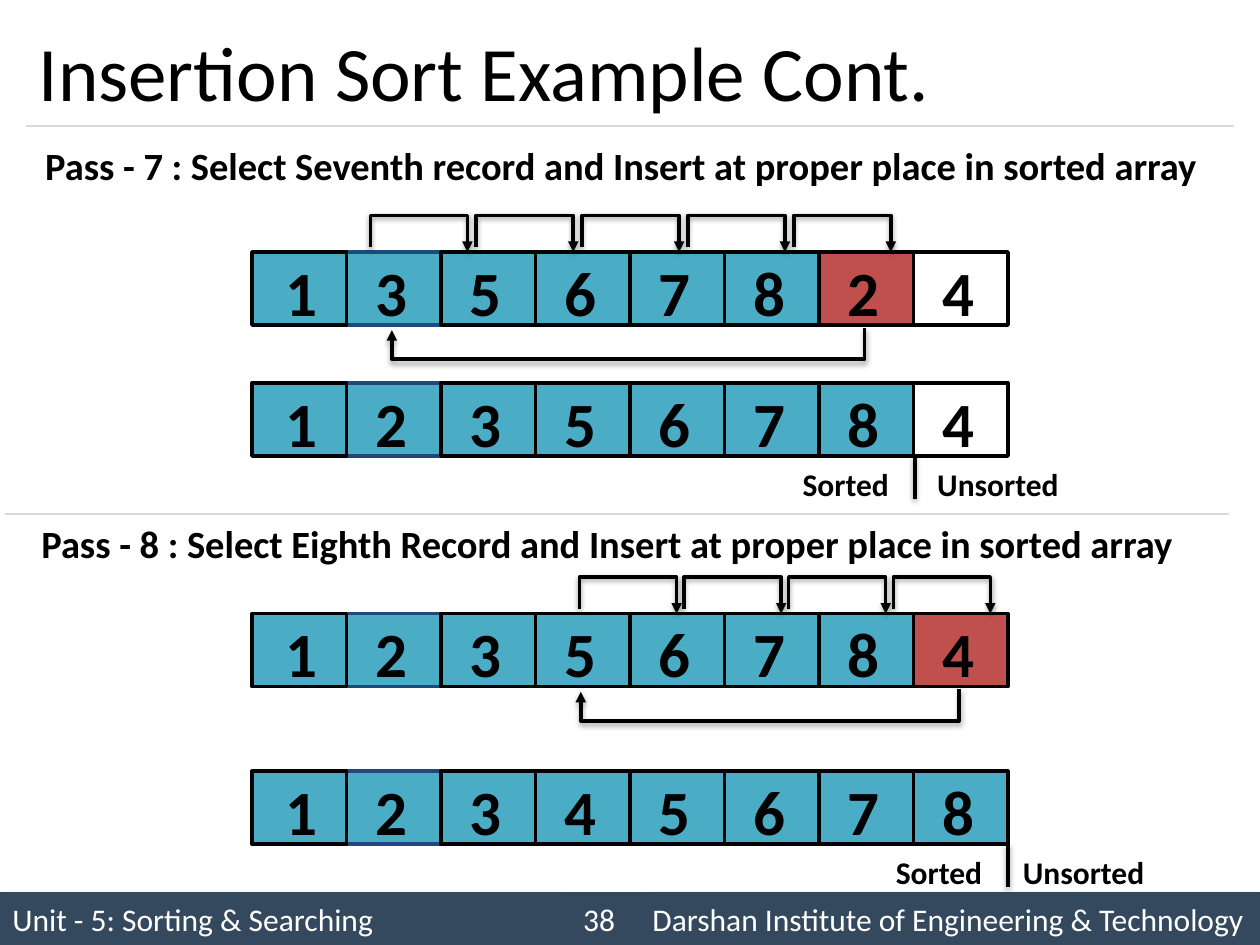
from lxml import etree
from pptx import Presentation
from pptx.dml.color import RGBColor
from pptx.enum.shapes import MSO_CONNECTOR, MSO_SHAPE
from pptx.enum.text import MSO_ANCHOR, MSO_AUTO_SIZE, PP_ALIGN
from pptx.oxml.ns import qn
from pptx.util import Inches, Pt

RECT, STRAIGHT, ELBOW = MSO_SHAPE.RECTANGLE, MSO_CONNECTOR.STRAIGHT, MSO_CONNECTOR.ELBOW
LEFT, CENTER, RIGHT = PP_ALIGN.LEFT, PP_ALIGN.CENTER, PP_ALIGN.RIGHT
MIDDLE = MSO_ANCHOR.MIDDLE
FIT_SHAPE, NO_FIT = MSO_AUTO_SIZE.SHAPE_TO_FIT_TEXT, MSO_AUTO_SIZE.NONE

BLACK = RGBColor(0x00, 0x00, 0x00)
WHITE = RGBColor(0xFF, 0xFF, 0xFF)
GRAY = RGBColor(0xD9, 0xD9, 0xD9)
SLATE = RGBColor(0x34, 0x49, 0x5E)
NAVY = RGBColor(0x1F, 0x49, 0x7D)
TEAL = RGBColor(0x4B, 0xAC, 0xC6)
RED = RGBColor(0xC0, 0x50, 0x4D)

ROW_LEFT, CELL_W, CELL_H = 2, 0.75, 0.58
LINE_SHADOW = dict(alpha=38, blur=3.1, dist=1.6, angle=90)
BAR_SHADOW = dict(alpha=40, blur=4, dist=3, angle=45)


def set_shadow(spPr, alpha, blur, dist, angle):
    effects = spPr.find(qn("a:effectLst"))
    if effects is None:
        effects = etree.SubElement(spPr, qn("a:effectLst"))
    shadow = etree.SubElement(effects, qn("a:outerShdw"), blurRad=str(Pt(blur)),
                              dist=str(Pt(dist)), dir=str(angle * 60000), rotWithShape="0")
    color = etree.SubElement(shadow, qn("a:srgbClr"), val="000000")
    etree.SubElement(color, qn("a:alpha"), val=str(alpha * 1000))


def write(tf, text, size, color=BLACK, bold=False, align=LEFT):
    p = tf.paragraphs[0]
    p.alignment = align
    r = p.add_run()
    r.text = text
    for name, value in dict(name="Calibri", size=Pt(size), bold=bold).items():
        setattr(r.font, name, value)
    r.font.color.rgb = color


def add_text(s, text, box, size, **style):
    tf = s.shapes.add_textbox(*map(Inches, box)).text_frame
    tf.word_wrap = False
    tf.auto_size = FIT_SHAPE
    write(tf, text, size, bold=True, **style)


def add_rect(s, box, fill, line=None):
    sp = s.shapes.add_shape(RECT, *map(Inches, box))
    sp.shadow.inherit = False
    sp.fill.solid()
    sp.fill.fore_color.rgb = fill
    if line is None:
        sp.line.fill.background()
    else:
        sp.line.color.rgb = line
        sp.line.width = Pt(2)
    return sp


def add_line(s, start, end, color=BLACK, width=2, shadow=None, kind=STRAIGHT):
    c = s.shapes.add_connector(kind, *map(Inches, (*start, *end)))
    c.line.color.rgb = color
    c.line.width = Pt(width)
    spPr = c._element.spPr
    etree.SubElement(spPr, qn("a:effectLst"))
    if shadow:
        set_shadow(spPr, **shadow)
    return c


def add_elbow_arrow(s, start, end, lane):
    """Arrow that leaves start vertically, runs level at height lane and ends at end."""
    (x0, y0), (x1, y1) = start, end
    w, h = y1 - y0, abs(x1 - x0)
    left, top = (x0 + x1 - w) / 2, (y0 + y1 - h) / 2
    c = add_line(s, (left, top), (left + w, top + h), shadow=LINE_SHADOW, kind=ELBOW)
    spPr = c._element.spPr
    xfrm = spPr.find(qn("a:xfrm"))
    rightward = x1 > x0
    xfrm.set("rot", str((270 if rightward else 90) * 60000))
    if rightward:
        xfrm.set("flipH", "1")
    guides = spPr.find(qn("a:prstGeom")).get_or_add_avLst()
    bend = round((lane - y0) / w * 100000)
    etree.SubElement(guides, qn("a:gd"), name="adj1", fmla=f"val {bend}")
    etree.SubElement(spPr.find(qn("a:ln")), qn("a:tailEnd"), type="triangle")


def add_array(s, top, values, fills):
    # The second cell lies beneath its neighbours
    for i in sorted(range(len(values)), key=lambda i: i != 1):
        box = (ROW_LEFT + i * CELL_W, top, CELL_W, CELL_H)
        add_rect(s, box, fills[i], NAVY if i == 1 else BLACK)
    for i, value in enumerate(values):
        x = ROW_LEFT + i * CELL_W + (0.17 if i == 0 else 0.13)
        add_text(s, value, (x, top - 0.04, 0.46, 0.71), 36)


def add_moves(s, top, source, target, first_x, step):
    """Shift arrows above the array and the insertion arrow below it."""
    for i in range(source - target):
        x = first_x + i * step
        add_elbow_arrow(s, (x, top - 0.04), (x + 0.77, top), top - 0.29)
    x0, x1 = (ROW_LEFT + i * CELL_W + 0.36 for i in (source, target))
    add_elbow_arrow(s, (x0, top + 0.6), (x1, top + 0.62), top + 0.85)


def add_boundary(s, x, top, unsorted_x):
    add_line(s, (x, top), (x, top + 0.34), shadow=LINE_SHADOW)
    add_text(s, "Sorted ", (x - 1, top + 0.02, 0.95, 0.4), 18, align=RIGHT)
    add_text(s, "Unsorted", (unsorted_x, top + 0.02, 1.23, 0.4), 18)


def add_pass(s, heading, heading_box, before, after, tops, source, target, first_x, step,
             boundary_x, unsorted_x):
    add_text(s, heading, heading_box, 22)
    done = source + 1
    rest = [WHITE] * (len(before) - done)
    add_array(s, tops[0], before, [TEAL] * source + [RED] + rest)
    add_moves(s, tops[0], source, target, first_x, step)
    add_array(s, tops[1], after, [TEAL] * done + rest)
    add_boundary(s, boundary_x, tops[1] + CELL_H, unsorted_x)


def add_title(s, text, box):
    tf = s.shapes.add_textbox(*map(Inches, box)).text_frame
    tf.word_wrap = True
    tf.auto_size = NO_FIT
    tf.vertical_anchor = MIDDLE
    write(tf, text, 44)


def add_footer(s, top, height):
    for text, x, w, align, shadow in (
        ("Unit - 5: Sorting & Searching", 0, 4.42, LEFT, BAR_SHADOW),
        ("Darshan Institute of Engineering & Technology", 5.08, 4.92, LEFT, BAR_SHADOW),
        ("38", 4.42, 0.67, CENTER, None),
    ):
        sp = add_rect(s, (x, top, w, height), SLATE)
        if shadow:
            set_shadow(sp._element.spPr, **shadow)
        sp.text_frame.vertical_anchor = MIDDLE
        write(sp.text_frame, text, 18, color=WHITE, align=align)


def main():
    prs = Presentation()
    prs.slide_width, prs.slide_height = Inches(10), Inches(7.5)
    s = prs.slides.add_slide(prs.slide_layouts[6])
    add_footer(s, 7.08, 0.42)
    add_line(s, (0.21, 1), (9.79, 1), GRAY, 0.75)
    add_title(s, "Insertion Sort Example Cont.", (0.21, 0.12, 9.58, 0.88))
    add_pass(s, "Pass - 7 : Select Seventh record and Insert at proper place in sorted array",
             (0.26, 1.08, 9.39, 0.47), "13567824", "12356784", (2, 3.04),
             source=6, target=1, first_x=2.94, step=0.84, boundary_x=7.26, unsorted_x=7.34)
    add_line(s, (0.04, 4.08), (9.75, 4.08), GRAY, 0.75)
    add_pass(s, "Pass - 8 : Select Eighth Record and Insert at proper place in sorted array",
             (0.23, 4.08, 9.3, 0.47), "12356784", "12345678", (4.87, 6.12),
             source=7, target=3, first_x=4.6, step=0.83, boundary_x=8, unsorted_x=8.02)
    prs.save("out.pptx")


if __name__ == "__main__":
    main()
